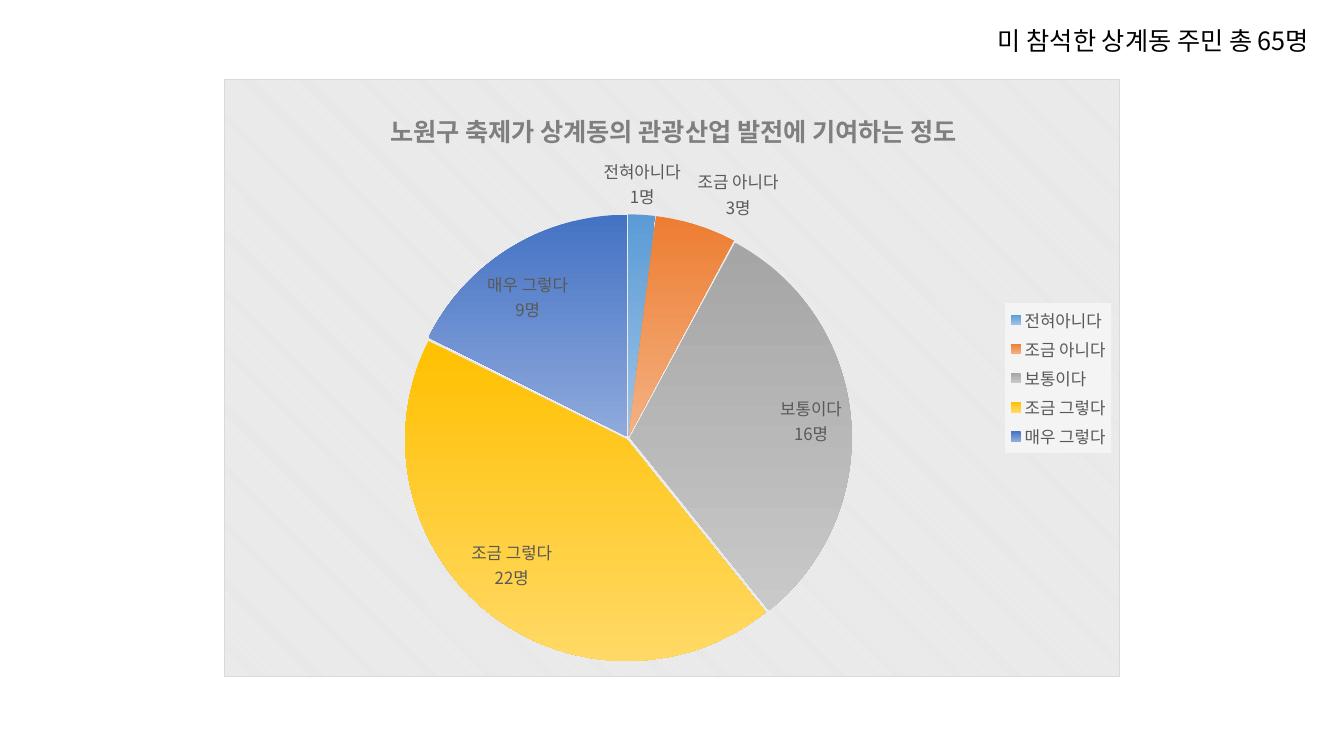
"""Builds the slide with a pie chart of survey answers from Sanggye-dong residents."""
from lxml import etree
from pptx import Presentation
from pptx.chart.data import CategoryChartData
from pptx.dml.color import RGBColor
from pptx.enum.chart import XL_CHART_TYPE as CT, XL_LABEL_POSITION as LP, XL_LEGEND_POSITION as LG
from pptx.enum.text import MSO_AUTO_SIZE as AUTO
from pptx.oxml import parse_xml
from pptx.oxml.ns import nsdecls, qn
from pptx.util import Pt

NOTE = "미 참석한 상계동 주민 총 65명"
TITLE = "노원구 축제가 상계동의 관광산업 발전에 기여하는 정도"
ANSWERS = [
    ("전혀아니다", 1, "5B9BD5", "9DC3E6"),
    ("조금 아니다", 3, "ED7D31", "F4B183"),
    ("보통이다", 16, "A5A5A5", "C9C9C9"),
    ("조금 그렇다", 22, "FFC000", "FFD966"),
    ("매우 그렇다", 9, "4472C4", "8FAADC"),
]
COLORS = {"text": "000000", "title": "7F7F7F", "label": "595959", "legend": "F4F4F4",
          "stripe": "FFFFFF", "back": "E6E6E6", "border": "D9D9D9"}
FONT = "Noto Sans CJK KR"
SLIDE = (1344, 756)
NOTE_BOX = (988, 20, 373, 40)
CHART_BOX = (224, 79, 896, 598)
PIE_BOX = (404, 214, 448, 448)
TITLE_AT = (385, 104)


def px(n):
    return round(n * 914400 / 100.8)


def style(font, size, color, bold=False):
    font.size, font.bold, font.name = Pt(size), bold, FONT
    font.color.rgb = RGBColor.from_string(COLORS[color])
    ea = etree.SubElement(font._element, qn("a:ea"))
    ea.set("typeface", FONT)


def place(box, inner=False):
    left, top, width, height = CHART_BOX
    parts = [("x", (box[0] - left) / width), ("y", (box[1] - top) / height)]
    parts += zip("wh", (n / d for n, d in zip(box[2:], (width, height))))
    target = '<c:layoutTarget val="inner"/>' if inner else ""
    modes = '<c:xMode val="edge"/><c:yMode val="edge"/>'
    values = "".join(f'<c:{name} val="{v:.3f}"/>' for name, v in parts)
    return parse_xml(f'<c:layout {nsdecls("c")}><c:manualLayout>{target}{modes}{values}'
                     '</c:manualLayout></c:layout>')


def set_layout(el, layout, before):
    for old in el.findall(qn("c:layout")):
        el.remove(old)
    el.find(qn(before)).addprevious(layout)


def add_note(slide):
    tf = slide.shapes.add_textbox(*map(px, NOTE_BOX)).text_frame
    tf.word_wrap = False
    tf.auto_size = AUTO.SHAPE_TO_FIT_TEXT
    r = tf.paragraphs[0].add_run()
    r.text = NOTE
    style(r.font, 18, "text")


def add_pie(slide):
    data = CategoryChartData()
    data.categories = [a[0] for a in ANSWERS]
    data.add_series("Series 1", [a[1] for a in ANSWERS])
    chart = slide.shapes.add_chart(CT.PIE, *map(px, CHART_BOX), data).chart
    style(chart.font, 10, "text")

    chart.has_title = True
    r = chart.chart_title.text_frame.paragraphs[0].add_run()
    r.text = TITLE
    style(r.font, 18, "title", bold=True)
    set_layout(chart.chart_title._element, place(TITLE_AT), "c:overlay")

    chart.has_legend = True
    legend = chart.legend
    legend.position, legend.include_in_layout = LG.RIGHT, False
    style(legend.font, 12, "label")
    legend._element.find(qn("c:txPr")).addprevious(parse_xml(
        f'<c:spPr {nsdecls("c", "a")}><a:solidFill><a:srgbClr val="{COLORS["legend"]}"/>'
        '</a:solidFill></c:spPr>'))

    plot = chart.plots[0]
    plot.vary_by_categories = True
    series = plot.series[0]
    series._element.find(qn("c:tx")).addnext(
        parse_xml(f'<c:explosion {nsdecls("c")} val="1"/>'))
    for i, answer in enumerate(ANSWERS):
        fill = series.points[i].format.fill
        fill.gradient()
        fill.gradient_angle = 270
        for stop, color in zip(fill.gradient_stops, answer[2:]):
            stop.color.rgb = RGBColor.from_string(color)

    labels = series.data_labels
    labels.show_category_name = labels.show_value = True
    labels.number_format, labels.number_format_is_linked = '0"명"', False
    labels.position = LP.BEST_FIT
    style(labels.font, 12, "label")
    shown = [el for el in labels._element if el.tag.startswith(qn("c:show"))
             and el.tag != qn("c:showLeaderLines")]
    shown[-1].addnext(parse_xml(f'<c:separator {nsdecls("c")}>\n</c:separator>'))

    space = chart._chartSpace
    area = space.find(qn("c:chart"))
    set_layout(area.find(qn("c:plotArea")), place(PIE_BOX, inner=True), "c:pieChart")
    area.addnext(parse_xml(
        f'<c:spPr {nsdecls("c", "a")}><a:pattFill prst="dkDnDiag">'
        f'<a:fgClr><a:srgbClr val="{COLORS["stripe"]}"/></a:fgClr>'
        f'<a:bgClr><a:srgbClr val="{COLORS["back"]}"/></a:bgClr></a:pattFill>'
        f'<a:ln w="9525"><a:solidFill><a:srgbClr val="{COLORS["border"]}"/></a:solidFill></a:ln>'
        '</c:spPr>'))


def main():
    prs = Presentation()
    prs.slide_width, prs.slide_height = map(px, SLIDE)
    slide = prs.slides.add_slide(prs.slide_layouts[6])
    add_pie(slide)
    add_note(slide)
    prs.save("out.pptx")


if __name__ == "__main__":
    main()
